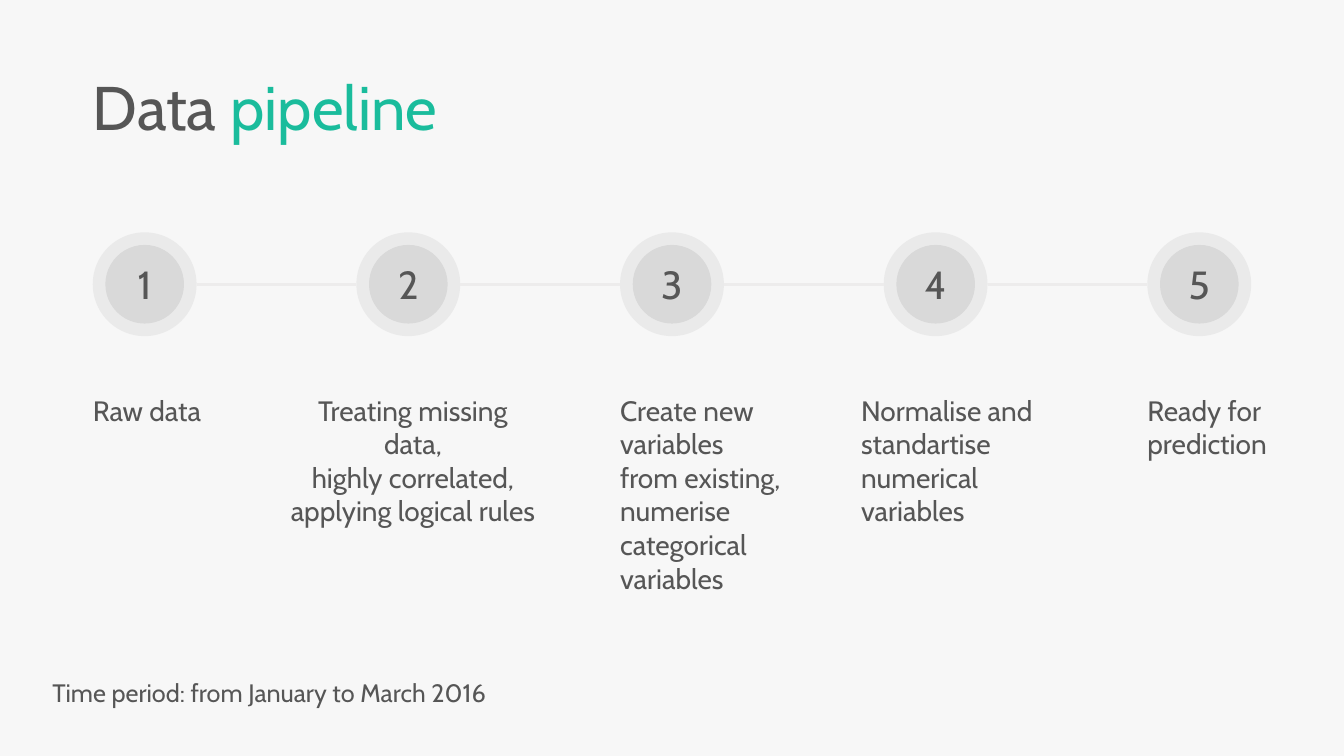
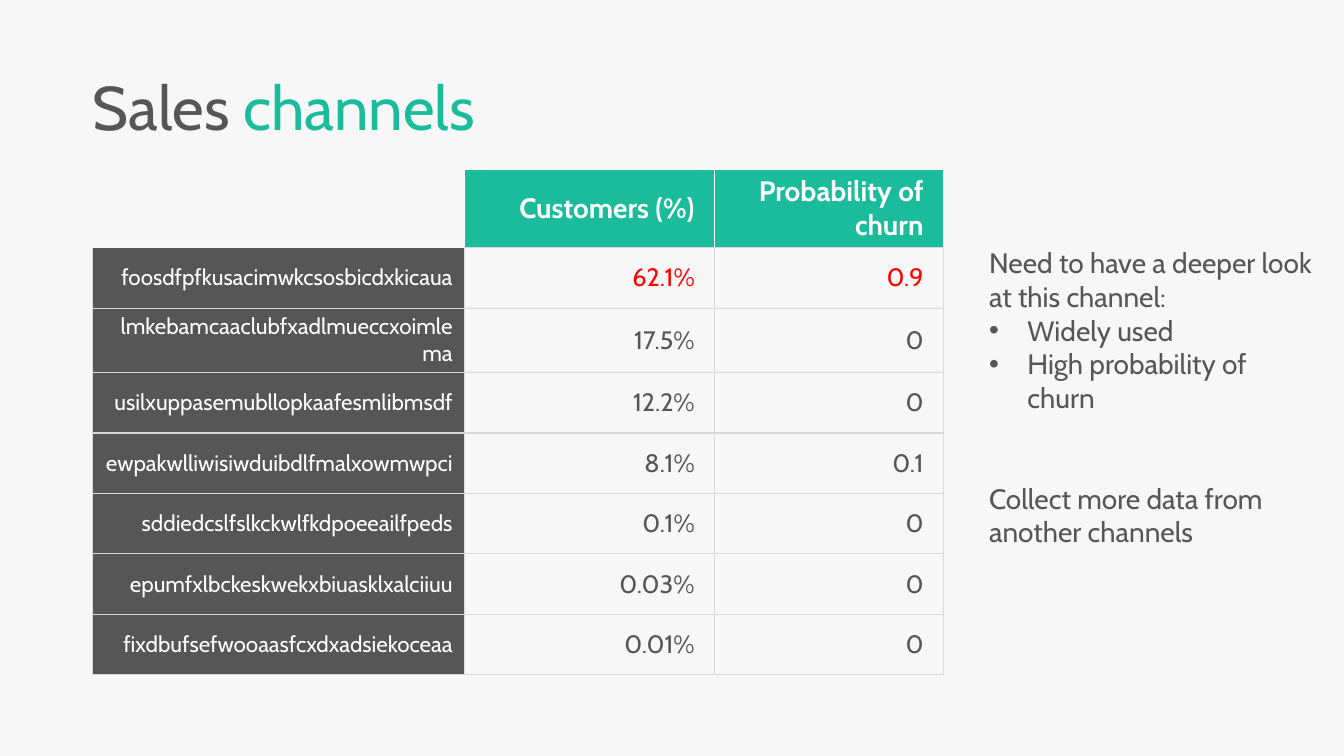
from lxml import etree
from pptx import Presentation
from pptx.dml.color import RGBColor
from pptx.enum.shapes import MSO_CONNECTOR, MSO_SHAPE
from pptx.enum.text import MSO_ANCHOR, MSO_AUTO_SIZE, PP_ALIGN
from pptx.oxml.ns import qn
from pptx.util import Inches, Pt

LEFT, CENTER, RIGHT = PP_ALIGN.LEFT, PP_ALIGN.CENTER, PP_ALIGN.RIGHT
TOP, MIDDLE = MSO_ANCHOR.TOP, MSO_ANCHOR.MIDDLE

FONT = "Cabin"
COLORS = {
    "background": "F7F7F7",
    "text": "565656",
    "accent": "1ABC9C",
    "circle": "D9D9D9",
    "connector": "EDECEC",
    "grid": "D9D9D9",
    "white": "FFFFFF",
    "alert": "FF0000",
}
MARGIN = 0.92

STEPS = [
    (["Raw data"], 0.92, 1.69, 0.44, LEFT),
    (["Treating missing data,", "highly correlated, applying logical rules"],
     2.84, 2.61, 1.11, CENTER),
    (["Create new variables from existing,", "numerise categorical variables"],
     6.15, 1.69, 2.12, LEFT),
    (["Normalise and standartise numerical variables"], 8.54, 1.92, 1.45, LEFT),
    (["Ready for", "prediction"], 11.38, 1.69, 0.77, LEFT),
]
PERIOD = "Time period: from January to March 2016"

CHANNELS = [
    ("", "Customers (%)", "Probability of churn"),
    ("foosdfpfkusacimwkcsosbicdxkicaua", "62.1%", "0.9"),
    ("lmkebamcaaclubfxadlmueccxoimlema", "17.5%", "0"),
    ("usilxuppasemubllopkaafesmlibmsdf", "12.2%", "0"),
    ("ewpakwlliwisiwduibdlfmalxowmwpci", "8.1%", "0.1"),
    ("sddiedcslfslkckwlfkdpoeeailfpeds", "0.1%", "0"),
    ("epumfxlbckeskwekxbiuasklxalciiuu", "0.03%", "0"),
    ("fixdbufsefwooaasfcxdxadsiekoceaa", "0.01%", "0"),
]
COLUMN_WIDTHS = [3.69, 2.48, 2.27]
HEADER_HEIGHT, ROW_HEIGHT = 0.67, 0.6
HIGHLIGHT_ROW = 1

NOTES = [
    ("Need to have a deeper look at this channel:", False, 0),
    ("Widely used", True, 0),
    ("High probability of churn", True, 0),
    ("Collect more data from another channels", False, 48),
]


def rgb(name):
    return RGBColor.from_string(COLORS[name])


def add_run(paragraph, text, size, color="text", bold=False):
    run = paragraph.add_run()
    run.text = text
    run.font.name = FONT
    run.font.size = Pt(size)
    run.font.bold = bold
    run.font.color.rgb = rgb(color)


def place(shape, left, top, width, height):
    shape.left, shape.top = Inches(left), Inches(top)
    shape.width, shape.height = Inches(width), Inches(height)


def set_frame(frame):
    frame.word_wrap = True
    frame.auto_size = MSO_AUTO_SIZE.NONE
    frame.vertical_anchor = TOP
    frame.margin_left, frame.margin_right = 0, Inches(0.1)
    frame.margin_top = frame.margin_bottom = Inches(0.05)


def next_paragraph(frame, index):
    return frame.add_paragraph() if index else frame.paragraphs[0]


def add_slide(presentation, layout, plain, accent):
    slide = presentation.slides.add_slide(presentation.slide_layouts.get_by_name(layout))
    title = slide.shapes.title
    place(title, MARGIN, 0.72, 4.9, 0.77)
    set_frame(title.text_frame)
    paragraph = title.text_frame.paragraphs[0]
    paragraph.alignment = LEFT
    paragraph.line_spacing = 0.9
    paragraph.space_before = Pt(10)
    add_run(paragraph, plain, 44)
    add_run(paragraph, accent, 44, "accent")
    return slide


def add_text(slide, lines, box, size, alignment=LEFT):
    frame = slide.shapes.add_textbox(*map(Inches, box)).text_frame
    set_frame(frame)
    for index, line in enumerate(lines):
        paragraph = next_paragraph(frame, index)
        paragraph.alignment = alignment
        add_run(paragraph, line, size)


def add_circle(group, center_x, center_y, diameter, alpha=None):
    circle = group.shapes.add_shape(
        MSO_SHAPE.OVAL, Inches(center_x - diameter / 2), Inches(center_y - diameter / 2),
        Inches(diameter), Inches(diameter))
    circle.shadow.inherit = False
    circle.line.fill.background()
    circle.fill.solid()
    circle.fill.fore_color.rgb = rgb("circle")
    if alpha is not None:
        color = circle.fill._xPr.find(".//" + qn("a:srgbClr"))
        etree.SubElement(color, qn("a:alpha")).set("val", str(alpha * 1000))
    return circle


def add_link(slide, start, end, y):
    link = slide.shapes.add_connector(
        MSO_CONNECTOR.STRAIGHT, Inches(start), Inches(y), Inches(end), Inches(y))
    link.line.color.rgb = rgb("connector")
    link.line.width = Pt(2.25)
    etree.SubElement(link._element.spPr, qn("a:effectLst"))


def build_pipeline(presentation):
    slide = add_slide(presentation, "Title Only", "Data ", "pipeline")
    ring, core, center_y = 1.03, 0.78, 2.82
    pitch = (STEPS[-1][1] - MARGIN) / (len(STEPS) - 1)
    for index, (lines, left, width, height, alignment) in enumerate(STEPS):
        ring_left = MARGIN + index * pitch
        center_x = ring_left + ring / 2
        group = slide.shapes.add_group_shape()
        add_circle(group, center_x, center_y, core)
        frame = add_circle(group, center_x, center_y, ring, alpha=42).text_frame
        frame.vertical_anchor = MIDDLE
        frame.paragraphs[0].alignment = CENTER
        add_run(frame.paragraphs[0], str(index + 1), 28)
        add_text(slide, lines, (left, 3.85, width, height), 20, alignment)
        if index:
            add_link(slide, ring_left - pitch + ring, ring_left, center_y)
    add_text(slide, [PERIOD], (0.52, 6.67, 5.3, 0.4), 18)


def border_color(row, column, side):
    if (row, column) == (0, 0) or (row, column, side) == (1, 0, "T"):
        return None
    return "white" if row == 0 and side != "B" else "grid"


def set_borders(cell, row, column):
    properties = cell._tc.get_or_add_tcPr()
    for index, side in enumerate("LRTB"):
        line = etree.Element(qn("a:ln" + side), w=str(Pt(1)))
        color = border_color(row, column, side)
        if color:
            fill = etree.SubElement(line, qn("a:solidFill"))
            etree.SubElement(fill, qn("a:srgbClr"), val=COLORS[color])
        else:
            etree.SubElement(line, qn("a:noFill"))
        properties.insert(index, line)


def cell_style(row, column):
    if row == 0:
        return (20, "white", "accent" if column else None)
    if column == 0:
        return (16, "white", "text")
    return (18, "alert" if row == HIGHLIGHT_ROW else "text", None)


def add_channel_table(slide):
    heights = [HEADER_HEIGHT] + [ROW_HEIGHT] * (len(CHANNELS) - 1)
    table = slide.shapes.add_table(
        len(CHANNELS), len(COLUMN_WIDTHS), Inches(MARGIN), Inches(1.68),
        Inches(sum(COLUMN_WIDTHS)), Inches(sum(heights))).table
    table.first_row = table.horz_banding = False
    for column, width in enumerate(COLUMN_WIDTHS):
        table.columns[column].width = Inches(width)
    for row, values in enumerate(CHANNELS):
        table.rows[row].height = Inches(heights[row])
        for column, value in enumerate(values):
            cell = table.cell(row, column)
            size, color, fill = cell_style(row, column)
            cell.vertical_anchor = MIDDLE
            cell.margin_right = Inches(0.2 if column else 0.12)
            if fill:
                cell.fill.solid()
                cell.fill.fore_color.rgb = rgb(fill)
            else:
                cell.fill.background()
            set_borders(cell, row, column)
            if value:
                paragraph = cell.text_frame.paragraphs[0]
                paragraph.alignment = RIGHT
                add_run(paragraph, value, size, color, bold=row == 0)


def set_bullet(paragraph, bulleted):
    properties = paragraph._p.get_or_add_pPr()
    indent = Inches(0.38) if bulleted else 0
    properties.set("marL", str(indent))
    properties.set("indent", str(-indent))
    if bulleted:
        etree.SubElement(properties, qn("a:buFont"), typeface="Arial")
        etree.SubElement(properties, qn("a:buChar"), char="•")
    else:
        etree.SubElement(properties, qn("a:buNone"))


def build_channels(presentation):
    slide = add_slide(presentation, "Title and Content", "Sales ", "channels")
    add_channel_table(slide)
    body = slide.placeholders[1]
    place(body, 9.81, 2.39, 3.33, 2.79)
    set_frame(body.text_frame)
    for index, (text, bulleted, space_before) in enumerate(NOTES):
        paragraph = next_paragraph(body.text_frame, index)
        paragraph.alignment = LEFT
        paragraph.space_before = Pt(space_before)
        set_bullet(paragraph, bulleted)
        add_run(paragraph, text, 20)


def main():
    presentation = Presentation()
    presentation.slide_width, presentation.slide_height = Inches(13.33), Inches(7.5)
    background = presentation.slide_master.background.fill
    background.solid()
    background.fore_color.rgb = rgb("background")
    build_pipeline(presentation)
    build_channels(presentation)
    presentation.save("out.pptx")


if __name__ == "__main__":
    main()
